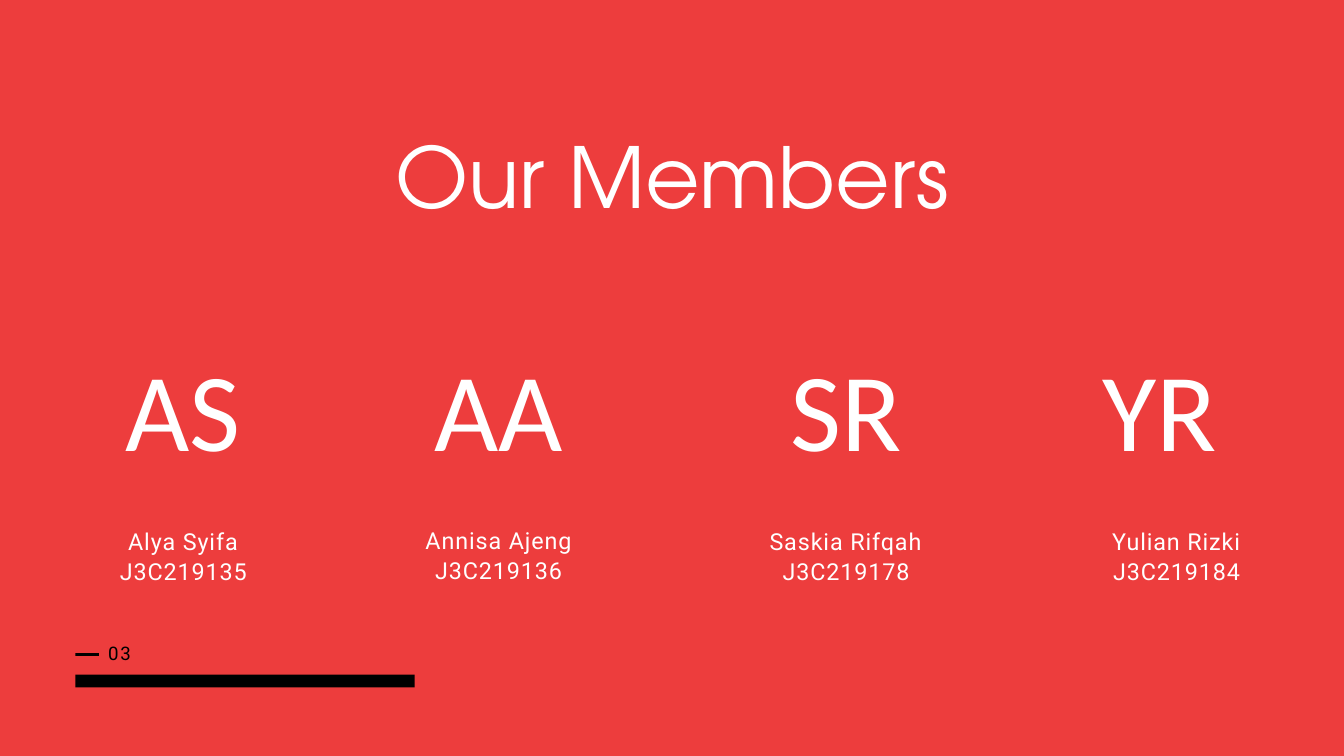
from pptx import Presentation
from pptx.dml.color import RGBColor
from pptx.enum.shapes import MSO_SHAPE
from pptx.enum.text import MSO_AUTO_SIZE, PP_ALIGN
from pptx.util import Inches, Pt

RED = RGBColor(0xED, 0x3D, 0x3D)
WHITE = RGBColor(0xFF, 0xFF, 0xFF)
BLACK = RGBColor(0, 0, 0)

MEMBERS = [
    ("AS", 1.32, "Alya Syifa J3C219135", (1.12, 7.81, 3.22, 0.89)),
    ("AA", 6.01, "Annisa Ajeng\nJ3C219136", (5.17, 7.79, 4.5, 0.93)),
    ("SR", 11.18, "Saskia Rifqah J3C219178", (10.73, 7.81, 3.72, 0.89)),
    ("YR", 15.85, "Yulian Rizki J3C219184", (15.65, 7.81, 3.72, 0.89)),
]


def add_text(slide, box, text, font, size, lead, color=WHITE, align=PP_ALIGN.CENTER, gap=0):
    frame = slide.shapes.add_textbox(*map(Inches, box)).text_frame
    frame.margin_left = frame.margin_top = frame.margin_right = frame.margin_bottom = 0
    frame.word_wrap = True
    frame.auto_size = MSO_AUTO_SIZE.SHAPE_TO_FIT_TEXT
    frame.text = text
    for para in frame.paragraphs:
        para.alignment = align
        para.line_spacing = Pt(lead)
        para.font.name = font
        para.font.size = Pt(size)
        para.font.color.rgb = color
        if gap:
            for run in para.runs:
                run._r.get_or_add_rPr().set("spc", str(gap * 100))


def add_bar(slide, box):
    bar = slide.shapes.add_shape(MSO_SHAPE.RECTANGLE, *map(Inches, box))
    bar.shadow.inherit = False
    bar.fill.solid()
    bar.fill.fore_color.rgb = BLACK
    bar.line.fill.background()


def add_member(slide, mark, left, name, box):
    add_text(slide, (left, 4.73, 2.82, 2.21), mark, "Calibri", 119, 166.7)
    add_text(slide, box, name, "Roboto", 25, 32.5, gap=1)


def add_footer(slide, box):
    left, top, width, height = box
    add_bar(slide, (left, top + height - 0.19, width, 0.19))
    add_bar(slide, (left, top + 0.17, 0.35, 0.04))
    add_text(slide, (left + 0.33, top, 0.5, 0.35), "03", "Roboto", 20, 24,
             BLACK, PP_ALIGN.RIGHT, 2)


def main():
    deck = Presentation()
    deck.slide_width = Inches(20)
    deck.slide_height = Inches(11.25)
    slide = deck.slides.add_slide(deck.slide_layouts[6])
    slide.background.fill.solid()
    slide.background.fill.fore_color.rgb = RED
    add_text(slide, (5.45, 1.98, 9.11, 1.38), "Our Members", "TeX Gyre Adventor", 90, 99)
    for member in MEMBERS:
        add_member(slide, *member)
    add_footer(slide, (1.12, 9.55, 5.05, 0.68))
    deck.save("out.pptx")


if __name__ == "__main__":
    main()
